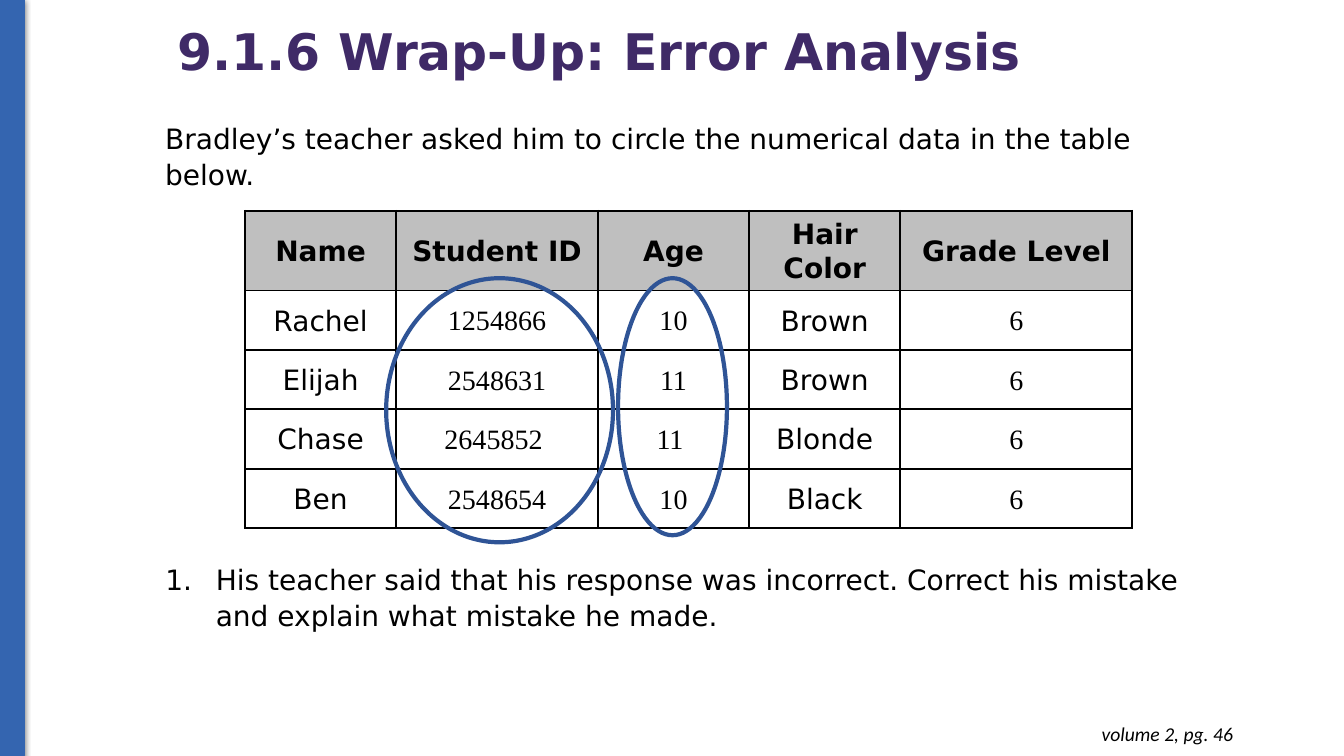
from lxml import etree
from pptx import Presentation
from pptx.dml.color import RGBColor
from pptx.enum.shapes import MSO_SHAPE
from pptx.enum.text import MSO_ANCHOR, MSO_AUTO_SIZE, PP_ALIGN
from pptx.oxml.ns import qn
from pptx.util import Inches, Pt

LEFT, CENTER, RIGHT = PP_ALIGN.LEFT, PP_ALIGN.CENTER, PP_ALIGN.RIGHT
TOP, MIDDLE = MSO_ANCHOR.TOP, MSO_ANCHOR.MIDDLE
FIXED = MSO_AUTO_SIZE.NONE
RECT, OVAL = MSO_SHAPE.RECTANGLE, MSO_SHAPE.OVAL

# Content
TITLE = "9.1.6 Wrap-Up: Error Analysis"
INTRO = "Bradley’s teacher asked him to circle the numerical data in the table below."
TASK = ("His teacher said that his response was incorrect. "
        "Correct his mistake and explain what mistake he made.")
PAGE = "volume 2, pg. 46"
ROWS = [
    ("Name", "Student ID", "Age", "Hair Color", "Grade Level"),
    ("Rachel", "1254866", "10", "Brown", "6"),
    ("Elijah", "2548631", "11", "Brown", "6"),
    ("Chase", "2645852 ", "11 ", "Blonde", "6"),
    ("Ben", "2548654", "10", "Black", "6"),
]
WIDTHS = (1.5, 2, 1.5, 1.5, 2.3)
HEIGHTS = (0.51,) + (0.59,) * 4
RINGS = [(3.83, 2.76, 2.25, 2.62), (6.13, 2.76, 1.08, 2.55)]

COLORS = {"bar": "3465B0", "title": "3F2A67", "text": "000000",
          "head": "BFBFBF", "ring": "2F5496"}
SANS, SERIF, NOTE = "DejaVu Sans", "Times New Roman", "Calibri"


def color(name):
    return RGBColor.from_string(COLORS[name])


def add_xml(parent, tag, **attrs):
    return etree.SubElement(parent, qn(tag), attrs)


def place(shape, left, top, width, height):
    shape.left, shape.top = Inches(left), Inches(top)
    shape.width, shape.height = Inches(width), Inches(height)


def write(frame, text, size=20, face=SANS, ink="text", bold=False,
          italic=False, align=LEFT, line=1.07):
    frame.text = text
    para = frame.paragraphs[0]
    para.alignment, para.line_spacing = align, line
    para.space_before = Pt(0)
    font = para.font
    font.size, font.name, font.bold, font.italic = Pt(size), face, bold, italic
    font.color.rgb = color(ink)
    return para


def set_box(frame, anchor=TOP):
    frame.word_wrap, frame.auto_size = True, FIXED
    frame.vertical_anchor = anchor


def add_box(spot):
    frame = slide.shapes.add_textbox(*map(Inches, spot)).text_frame
    set_box(frame)
    return frame


def add_border(cell):
    props = cell._tc.get_or_add_tcPr()
    for at, side in enumerate(("a:lnL", "a:lnR", "a:lnT", "a:lnB")):
        edge = etree.Element(qn(side), w=str(Pt(1.5)))
        fill = add_xml(edge, "a:solidFill")
        add_xml(fill, "a:srgbClr", val=COLORS["text"])
        props.insert(at, edge)


deck = Presentation()
deck.slide_width, deck.slide_height = Inches(13.33), Inches(7.5)
slide = deck.slides.add_slide(deck.slide_layouts[1])
title, body = slide.shapes.title, slide.placeholders[1]

# Side bar with a soft shadow
bar = slide.shapes.add_shape(RECT, *map(Inches, (0, -0.01, 0.24, 7.51)))
bar.fill.solid()
bar.fill.fore_color.rgb = bar.line.color.rgb = color("bar")
bar.line.width = Pt(0.75)
bar.shadow.inherit = False
effects = bar._element.spPr.find(qn("a:effectLst"))
shade = add_xml(effects, "a:outerShdw", blurRad=str(Pt(4.5)),
                dist=str(Pt(1.5)), dir="5400000", rotWithShape="0")
tint = add_xml(shade, "a:srgbClr", val=COLORS["text"])
add_xml(tint, "a:alpha", val="50000")

# Title and introduction
place(title, 1.66, 0.21, 8.77, 0.65)
set_box(title.text_frame, MIDDLE)
write(title.text_frame, TITLE, 36, ink="title", bold=True, line=0.9)
write(add_box((1.54, 1.13, 10.54, 0.82)), INTRO)

# Student table
table = slide.shapes.add_table(
    len(ROWS), len(WIDTHS), Inches(2.43), Inches(2.09),
    Inches(sum(WIDTHS)), Inches(sum(HEIGHTS))).table
table.first_row = table.horz_banding = False
for col, width in zip(table.columns, WIDTHS):
    col.width = Inches(width)
for r, row in enumerate(ROWS):
    table.rows[r].height = Inches(HEIGHTS[r])
    for c, text in enumerate(row):
        cell = table.cell(r, c)
        cell.vertical_anchor = MIDDLE
        face = SERIF if text.strip().isdigit() else SANS
        write(cell.text_frame, text, face=face, bold=r == 0, align=CENTER)
        if r == 0:
            cell.fill.solid()
            cell.fill.fore_color.rgb = color("head")
        else:
            cell.fill.background()
        add_border(cell)

# Rings around the chosen columns
for spot in RINGS:
    ring = slide.shapes.add_shape(OVAL, *map(Inches, spot))
    ring.fill.background()
    ring.line.color.rgb, ring.line.width = color("ring"), Pt(3)
    ring.shadow.inherit = False

# Numbered task
place(body, 1.54, 5.51, 10.3, 0.82)
set_box(body.text_frame)
task = write(body.text_frame, TASK)
props = task._p.get_or_add_pPr()
props.set("marL", str(Inches(0.5)))
props.set("indent", str(Inches(-0.5)))
number = etree.Element(qn("a:buAutoNum"), type="arabicPeriod")
props.find(qn("a:defRPr")).addprevious(number)

# Page reference
note = add_box((9.45, 7.06, 2.88, 0.44))
note.margin_top = note.margin_bottom = Inches(0.1)
write(note, PAGE, 14, NOTE, italic=True, align=RIGHT, line=1.0)

deck.save("out.pptx")
